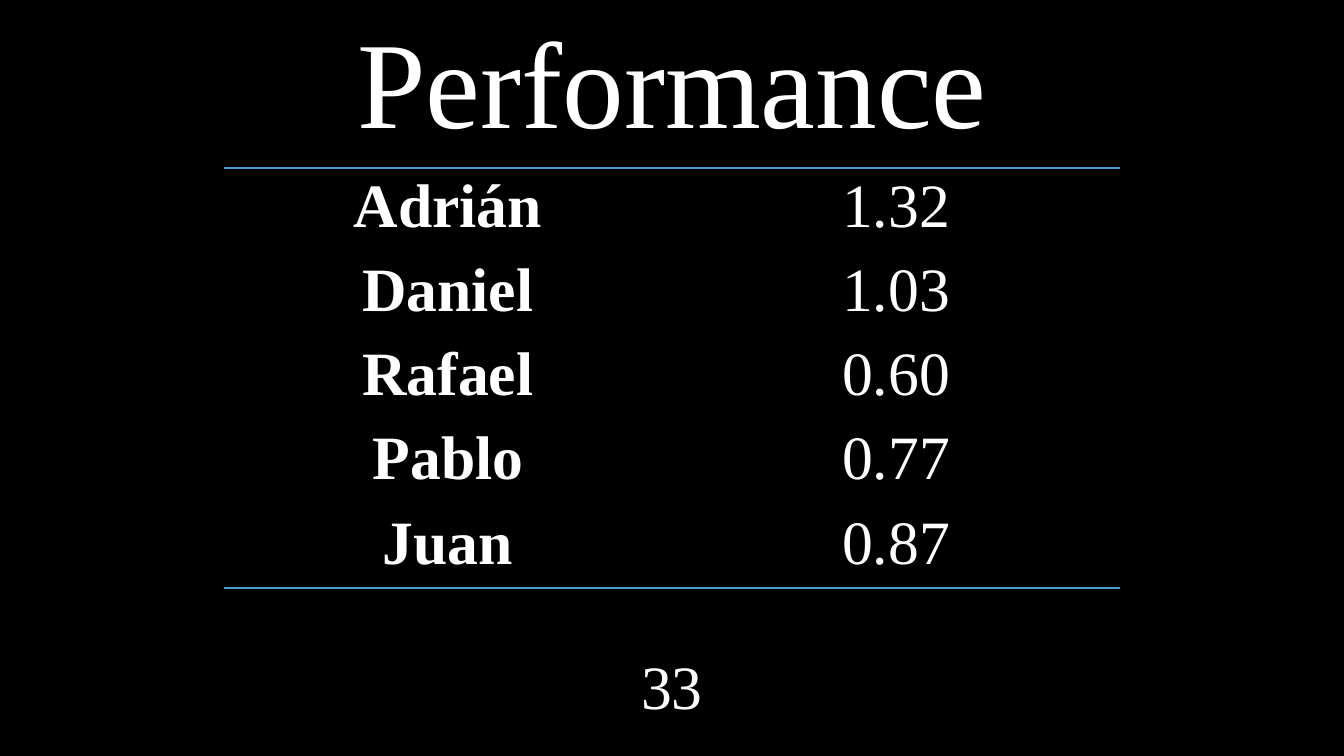
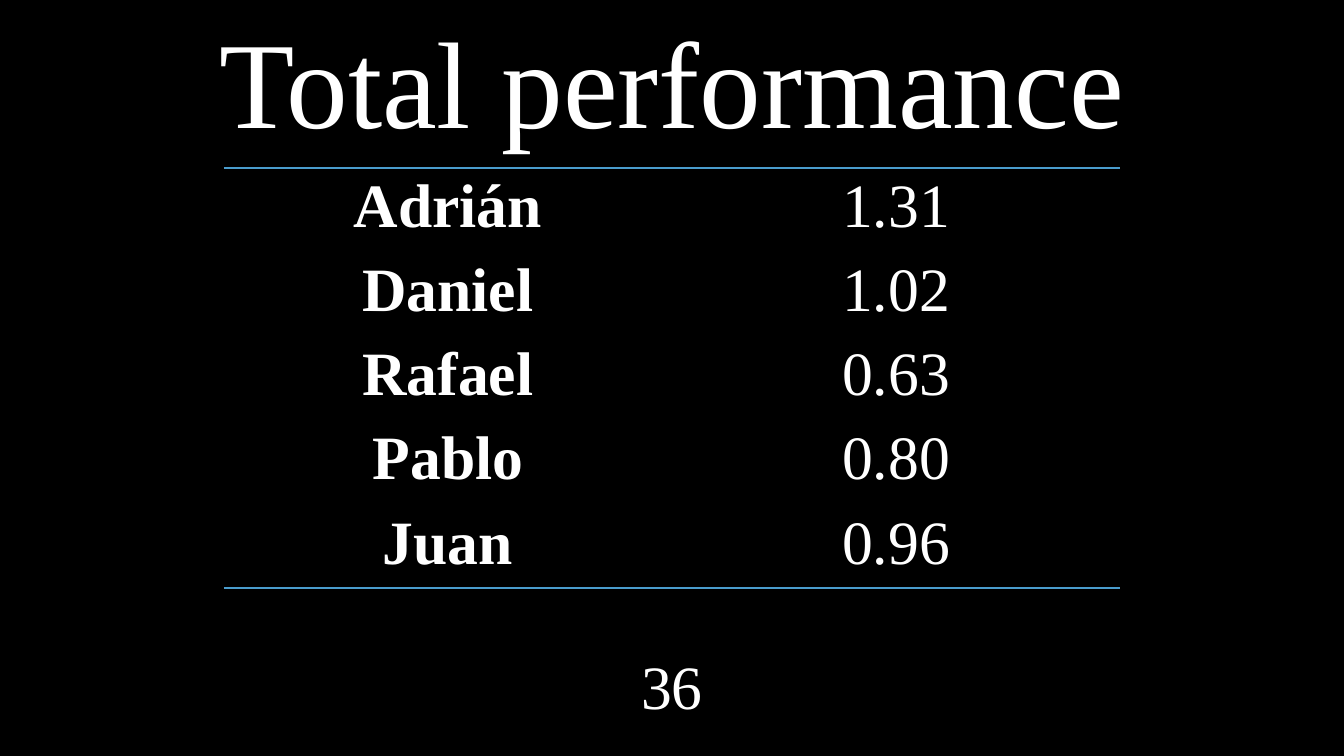
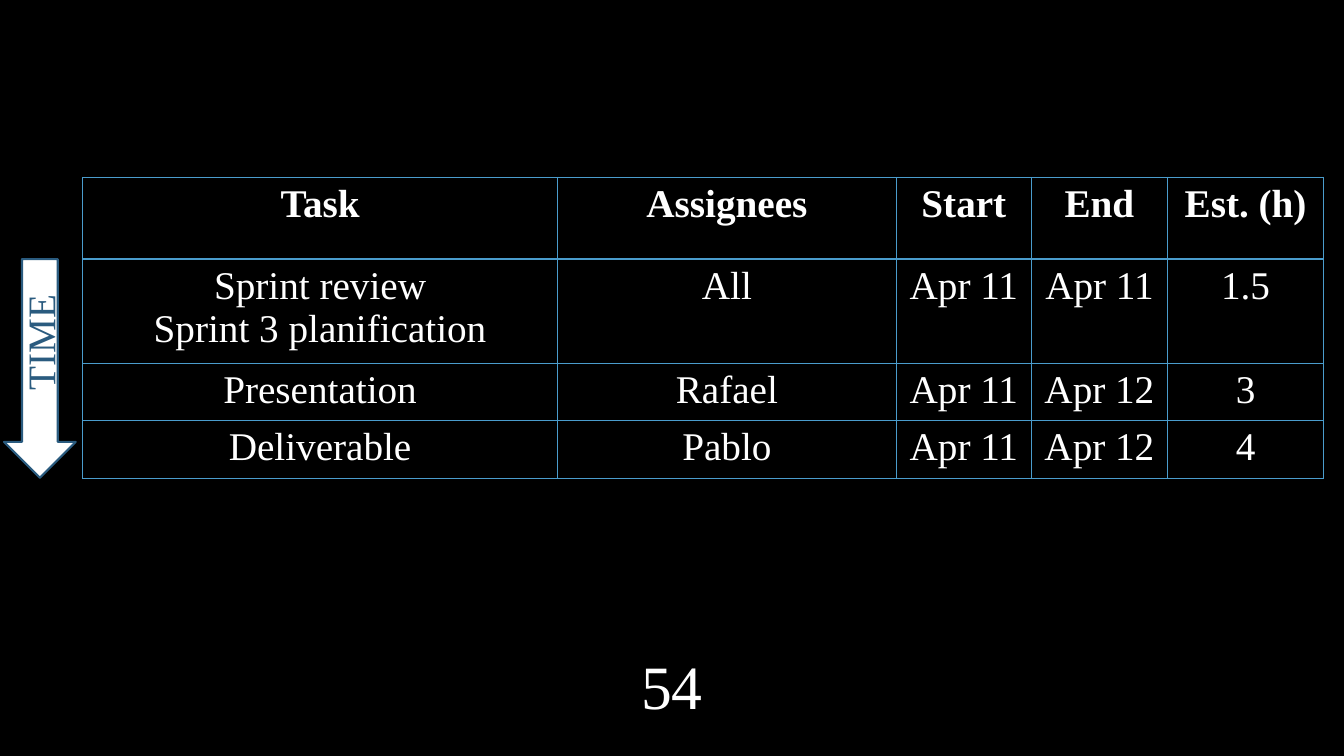
import pptx
import pptx.dml.color
import pptx.enum.shapes
import pptx.enum.text
import pptx.oxml
import pptx.oxml.ns
import pptx.util

# Shared look
FONT = "Times New Roman"
BLACK, WHITE, BLUE, NAVY = "000000", "FFFFFF", "4A9CCC", "2A5B7F"
TITLE_SIZE, LARGE_SIZE, SMALL_SIZE = 88, 44, 28
PLAIN_TABLE_STYLE = "{2D5ABB26-0587-4C30-8999-92F81FD0307C}"
SIDES = ("L", "R", "T", "B")
CENTER = pptx.enum.text.PP_ALIGN.CENTER
LEFT = pptx.enum.text.PP_ALIGN.LEFT
TOP = pptx.enum.text.MSO_ANCHOR.TOP
MIDDLE = pptx.enum.text.MSO_ANCHOR.MIDDLE

SLIDE_WIDTH = pptx.util.Inches(13.33)
SLIDE_HEIGHT = pptx.util.Inches(7.5)

NAMES = ("Adrián", "Daniel", "Rafael", "Pablo", "Juan")
SCHEDULE = (
    ("Task", "Assignees", "Start", "End", "Est. (h)"),
    ("Sprint review\nSprint 3 planification", "All", "Apr 11", "Apr 11", "1.5"),
    ("Presentation", "Rafael", "Apr 11", "Apr 12", "3"),
    ("Deliverable", "Pablo", "Apr 11", "Apr 12", "4"),
)
SCHEDULE_COLUMNS = (4.71, 3.36, 1.34, 1.35, 1.55)
SCHEDULE_ROWS = (0.81, 1.03, 0.57, 0.57)


def color(value):
    return pptx.dml.color.RGBColor.from_string(value)


def slide_box(left, top, width, height):
    """Box in slide units from percentages of the slide's size."""
    return (int(SLIDE_WIDTH * left / 100), int(SLIDE_HEIGHT * top / 100),
            int(SLIDE_WIDTH * width / 100), int(SLIDE_HEIGHT * height / 100))


def write(frame, text, size, fill=WHITE, bold=False, alignment=CENTER):
    for index, line in enumerate(text.split("\n")):
        paragraph = frame.add_paragraph() if index else frame.paragraphs[0]
        paragraph.alignment = alignment
        run = paragraph.add_run()
        run.text = line
        run.font.name = FONT
        run.font.size = pptx.util.Pt(size)
        run.font.bold = bold
        run.font.color.rgb = color(fill)


def add_label(slide, box, text, size, anchor=TOP, **style):
    shape = slide.shapes.add_textbox(*box)
    shape.text_frame.word_wrap = True
    shape.text_frame.vertical_anchor = anchor
    write(shape.text_frame, text, size, **style)
    return shape


def set_borders(cell, widths):
    """Draw the borders named in widths (side to points)."""
    properties = cell._tc.get_or_add_tcPr()
    drawn = [side for side in SIDES if side in widths]
    for index, side in enumerate(drawn):
        line = pptx.oxml.parse_xml(
            f'<a:ln{side} {pptx.oxml.ns.nsdecls("a")} w="{pptx.util.Pt(widths[side])}">'
            f'<a:solidFill><a:srgbClr val="{BLUE}"/></a:solidFill></a:ln{side}>')
        properties.insert(index, line)


def add_grid(slide, box, rows, column_weights, row_weights, size, is_bold, borders):
    """Table whose columns and rows share the box by weight."""
    frame = slide.shapes.add_table(len(rows), len(rows[0]), *box)
    table = frame.table
    table.first_row = table.horz_banding = False
    style = frame._element.find(".//" + pptx.oxml.ns.qn("a:tableStyleId"))
    style.text = PLAIN_TABLE_STYLE
    for column, weight in zip(table.columns, column_weights):
        column.width = int(box[2] * weight / sum(column_weights))
    for row, weight in zip(table.rows, row_weights):
        row.height = int(box[3] * weight / sum(row_weights))
    for row_index, values in enumerate(rows):
        for column_index, value in enumerate(values):
            cell = table.cell(row_index, column_index)
            cell.fill.background()
            write(cell.text_frame, value, size, bold=is_bold(row_index, column_index))
            set_borders(cell, borders(row_index))


def add_time_arrow(slide, box):
    """Downward arrow with a label that reads upwards."""
    left, top, width, height = box
    arrow = slide.shapes.add_shape(pptx.enum.shapes.MSO_SHAPE.DOWN_ARROW, *box)
    arrow.shadow.inherit = False
    arrow.fill.solid()
    arrow.fill.fore_color.rgb = color(WHITE)
    arrow.line.color.rgb = color(NAVY)
    arrow.line.width = pptx.util.Pt(1.5)
    length, thickness = int(height * 0.67), int(width * 0.8)
    label_box = (left + (width - length) // 2,
                 top + int(height * 0.31) - thickness // 2, length, thickness)
    label = add_label(slide, label_box, "TIME", SMALL_SIZE, fill=NAVY, alignment=LEFT)
    label.rotation = 270


def add_numbered_slide(presentation, number):
    slide = presentation.slides.add_slide(presentation.slide_layouts[6])
    add_label(slide, slide_box(45.25, 86.8, 9.5, 7.5), number, LARGE_SIZE, anchor=MIDDLE)
    return slide


def add_performance_slide(presentation, number, title, title_width, scores):
    slide = add_numbered_slide(presentation, number)
    last = len(NAMES) - 1
    add_grid(slide, slide_box(100 / 6, 200 / 9, 200 / 3, 500 / 9),
             list(zip(NAMES, scores)), (1, 1), (1,) * len(NAMES), LARGE_SIZE,
             is_bold=lambda row, column: column == 0,
             borders=lambda row: {0: {"T": 1}, last: {"B": 1}}.get(row, {}))
    add_label(slide, slide_box(50 - title_width / 2, 0, title_width, 21),
              title, TITLE_SIZE)


def add_schedule_slide(presentation, number):
    slide = add_numbered_slide(presentation, number)
    box = slide_box(6.15, 23.47, 92.35, 39.73)
    add_grid(slide, box, SCHEDULE, SCHEDULE_COLUMNS, SCHEDULE_ROWS, SMALL_SIZE,
             is_bold=lambda row, column: row == 0,
             borders=lambda row: {"L": 1, "R": 1, "T": 2 if row == 1 else 1,
                                  "B": 2 if row == 0 else 1})
    # The arrow runs beside the rows below the header
    header = int(box[3] * SCHEDULE_ROWS[0] / sum(SCHEDULE_ROWS))
    arrow_left, _, arrow_width, _ = slide_box(0.3, 0, 5.33, 0)
    add_time_arrow(slide, (arrow_left, box[1] + header, arrow_width, box[3] - header))


def main():
    presentation = pptx.Presentation()
    presentation.slide_width, presentation.slide_height = SLIDE_WIDTH, SLIDE_HEIGHT
    background = presentation.slide_master.background.fill
    background.solid()
    background.fore_color.rgb = color(BLACK)
    add_performance_slide(presentation, "33", "Performance", 49.9,
                          ("1.32", "1.03", "0.60", "0.77", "0.87"))
    add_performance_slide(presentation, "36", "Total performance", 70.7,
                          ("1.31", "1.02", "0.63", "0.80", "0.96"))
    add_schedule_slide(presentation, "54")
    presentation.save("out.pptx")


if __name__ == "__main__":
    main()
